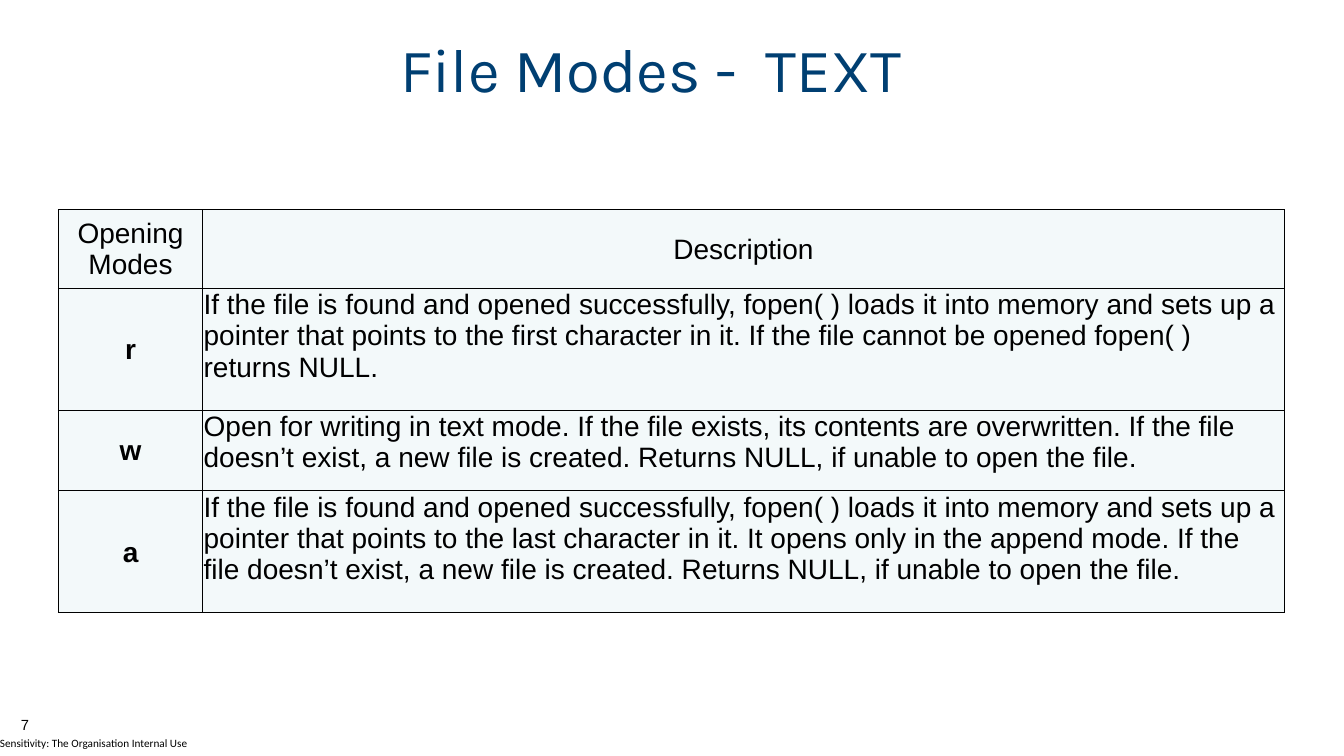
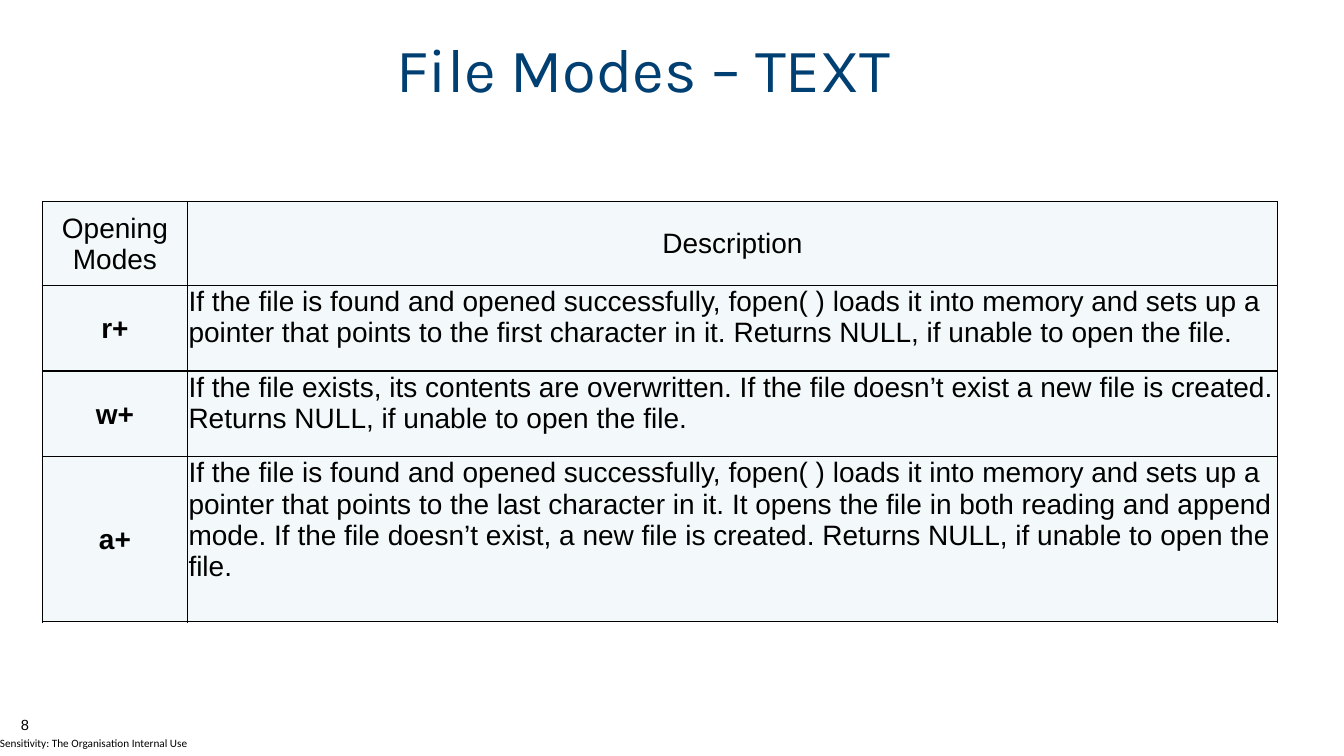
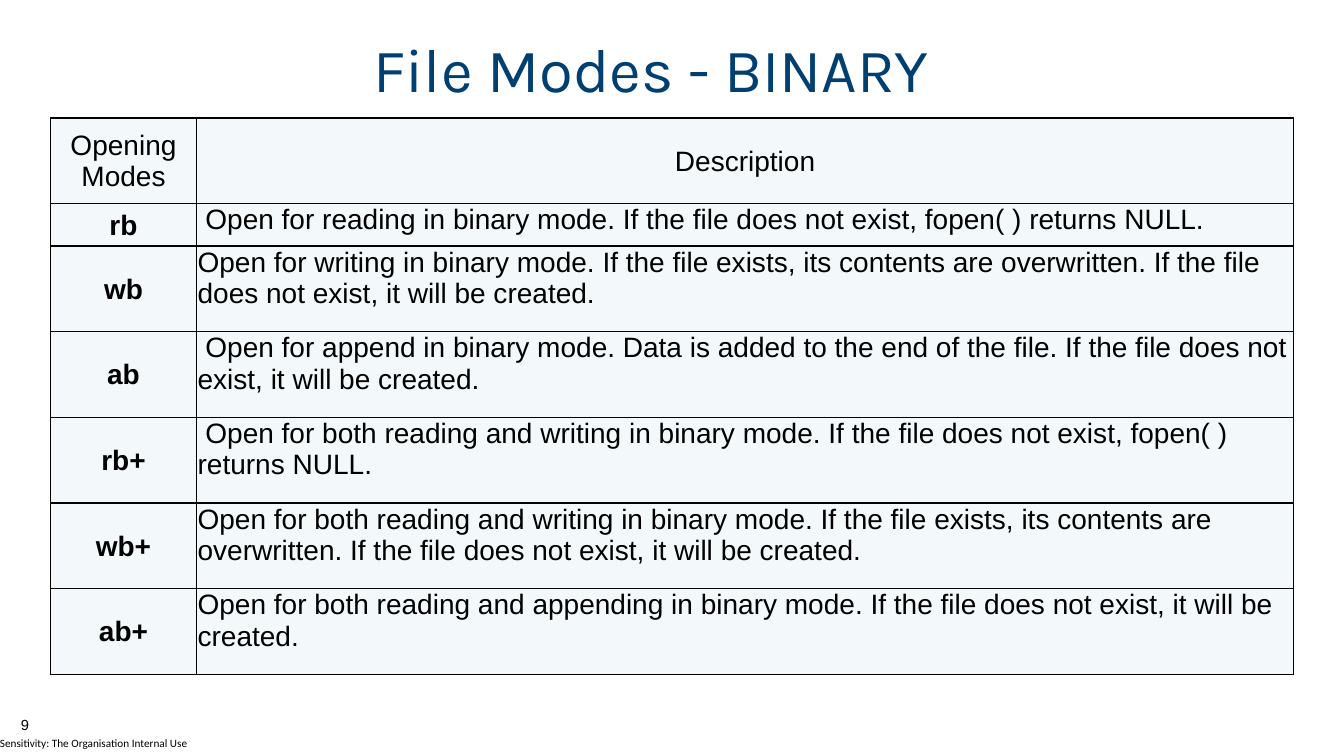
from dataclasses import dataclass

from lxml.etree import SubElement
from pptx import Presentation
from pptx.dml.color import RGBColor
from pptx.enum.text import MSO_ANCHOR as Anchor, MSO_AUTO_SIZE as AutoSize, PP_ALIGN as Align
from pptx.oxml.ns import qn
from pptx.slide import Slide
from pptx.table import _Cell as Cell
from pptx.text.text import TextFrame
from pptx.util import Inches, Pt

BLACK, NAVY, PALE = "000000", "003F72", "F3F9FA"
TITLE_ONLY = 5
FIRST_NUMBER = 7
FOOTER = "Sensitivity: The Organisation Internal Use"
HEADER = ("Opening Modes", "Description")
BORDERS = ("a:lnL", "a:lnR", "a:lnT", "a:lnB")
CELL_FORMAT = {
    "margin_left": Inches(0.01),
    "margin_right": Inches(0.01),
    "margin_top": Inches(0.01),
    "margin_bottom": 0,
}
NO_MARGINS = dict.fromkeys(CELL_FORMAT, 0)


@dataclass(frozen=True)
class TextStyle:
    font: str
    size: float
    color: str = BLACK
    bold: bool = False
    align: Align = Align.LEFT


TITLE_STYLE = TextStyle("Karla", 44, NAVY, align=Align.CENTER)
NUMBER_STYLE = TextStyle("Arial", 10.5)
FOOTER_STYLE = TextStyle("Calibri", 8)
HEADER_STYLE = TextStyle("Arial", 20, align=Align.CENTER)
MODE_STYLE = TextStyle("Arial", 20, bold=True, align=Align.CENTER)
DESCRIPTION_STYLE = TextStyle("Arial", 20)


@dataclass(frozen=True)
class ModeRow:
    height: float
    mode: str
    description: str


@dataclass(frozen=True)
class ModeSlide:
    title: str
    left: float
    top: float
    columns: tuple[float, float]
    header_height: float
    rows: tuple[ModeRow, ...]


MODE_SLIDES = (
    ModeSlide("File Modes -  TEXT", 0.58, 2.08, (1.43, 10.73), 0.78, (
        ModeRow(1.21, "r", "If the file is found and opened successfully, fopen( ) loads it into memory and sets up a pointer that points to the first character in it. If the file cannot be opened fopen( ) returns NULL."),
        ModeRow(0.8, "w", "Open for writing in text mode. If the file exists, its contents are overwritten. If the file doesn’t exist, a new file is created. Returns NULL, if unable to open the file."),
        ModeRow(1.21, "a", "If the file is found and opened successfully, fopen( ) loads it into memory and sets up a pointer that points to the last character in it. It opens only in the append mode. If the file doesn’t exist, a new file is created. Returns NULL, if unable to open the file."),
    )),
    ModeSlide("File Modes – TEXT ", 0.42, 2, (1.44, 10.81), 0.83, (
        ModeRow(0.85, "r+", "If the file is found and opened successfully, fopen( ) loads it into memory and sets up a pointer that points to the first character in it. Returns NULL, if unable to open the file."),
        ModeRow(0.85, "w+", "If the file exists, its contents are overwritten. If the file doesn’t exist a new file is created. Returns NULL, if unable to open the file."),
        ModeRow(1.64, "a+", "If the file is found and opened successfully, fopen( ) loads it into memory and sets up a pointer that points to the last character in it. It opens the file in both reading and append mode. If the file doesn’t exist, a new file is created. Returns NULL, if unable to open the file."),
    )),
    ModeSlide("File Modes - BINARY", 0.5, 1.17, (1.45, 10.88), 0.85, (
        ModeRow(0.42, "rb", " Open for reading in binary mode. If the file does not exist, fopen( ) returns NULL."),
        ModeRow(0.85, "wb", "Open for writing in binary mode. If the file exists, its contents are overwritten. If the file does not exist, it will be created."),
        ModeRow(0.85, "ab", " Open for append in binary mode. Data is added to the end of the file. If the file does not exist, it will be created."),
        ModeRow(0.85, "rb+", " Open for both reading and writing in binary mode. If the file does not exist, fopen( ) returns NULL."),
        ModeRow(0.85, "wb+", "Open for both reading and writing in binary mode. If the file exists, its contents are overwritten. If the file does not exist, it will be created."),
        ModeRow(0.85, "ab+", "Open for both reading and appending in binary mode. If the file does not exist, it will be created."),
    )),
)


def rgb(color: str) -> RGBColor:
    return RGBColor.from_string(color)


def apply_format(target: object, values: dict[str, object]) -> None:
    for name, value in values.items():
        setattr(target, name, value)


def write_text(frame: TextFrame, text: str, style: TextStyle) -> None:
    paragraph = frame.paragraphs[0]
    paragraph.alignment = style.align
    run = paragraph.add_run()
    run.text = text
    apply_format(run.font, {"name": style.font, "size": Pt(style.size), "bold": style.bold})
    run.font.color.rgb = rgb(style.color)


def add_label(slide: Slide, text: str, style: TextStyle, box: tuple[float, float, float, float],
              frame_format: dict[str, object]) -> None:
    shape = slide.shapes.add_textbox(*map(Inches, box))
    apply_format(shape.text_frame, {"word_wrap": True, **frame_format})
    write_text(shape.text_frame, text, style)


def add_title(slide: Slide, text: str) -> None:
    title = slide.shapes.title
    apply_format(title, {"left": Inches(0.67), "top": Inches(0.17),
                         "width": Inches(11.58), "height": Inches(1)})
    apply_format(title.text_frame, {"vertical_anchor": Anchor.MIDDLE, "auto_size": AutoSize.NONE})
    write_text(title.text_frame, text, TITLE_STYLE)


def set_borders(cell: Cell) -> None:
    properties = cell._tc.get_or_add_tcPr()
    for index, tag in enumerate(BORDERS):
        line = SubElement(properties, qn(tag), w=str(Pt(1)))
        fill = SubElement(line, qn("a:solidFill"))
        SubElement(fill, qn("a:srgbClr"), val=BLACK)
        properties.insert(index, line)


def fill_cell(cell: Cell, text: str, style: TextStyle) -> None:
    centred = style.align == Align.CENTER
    apply_format(cell, {**CELL_FORMAT, "vertical_anchor": Anchor.MIDDLE if centred else Anchor.TOP})
    cell.fill.solid()
    cell.fill.fore_color.rgb = rgb(PALE)
    set_borders(cell)
    write_text(cell.text_frame, text, style)


def add_mode_table(slide: Slide, content: ModeSlide) -> None:
    heights = [content.header_height, *(row.height for row in content.rows)]
    table = slide.shapes.add_table(
        len(heights), len(content.columns), Inches(content.left), Inches(content.top),
        Inches(sum(content.columns)), Inches(sum(heights))).table
    apply_format(table, {"first_row": False, "horz_banding": False})
    for column, width in zip(table.columns, content.columns):
        column.width = Inches(width)
    for row, height in zip(table.rows, heights):
        row.height = Inches(height)
    for cell, text in zip(table.rows[0].cells, HEADER):
        fill_cell(cell, text, HEADER_STYLE)
    for index, entry in enumerate(content.rows, start=1):
        fill_cell(table.cell(index, 0), entry.mode, MODE_STYLE)
        fill_cell(table.cell(index, 1), entry.description, DESCRIPTION_STYLE)


def main() -> None:
    presentation = Presentation()
    apply_format(presentation, {"slide_width": Inches(13.33), "slide_height": Inches(7.5)})
    for number, content in enumerate(MODE_SLIDES, start=FIRST_NUMBER):
        slide = presentation.slides.add_slide(presentation.slide_layouts[TITLE_ONLY])
        add_label(slide, str(number), NUMBER_STYLE, (0.11, 7.05, 0.64, 0.25), {})
        add_label(slide, FOOTER, FOOTER_STYLE, (0, 7.25, 2.17, 0.25),
                  {**NO_MARGINS, "vertical_anchor": Anchor.MIDDLE})
        add_title(slide, content.title)
        add_mode_table(slide, content)
    presentation.save("out.pptx")


if __name__ == "__main__":
    main()
